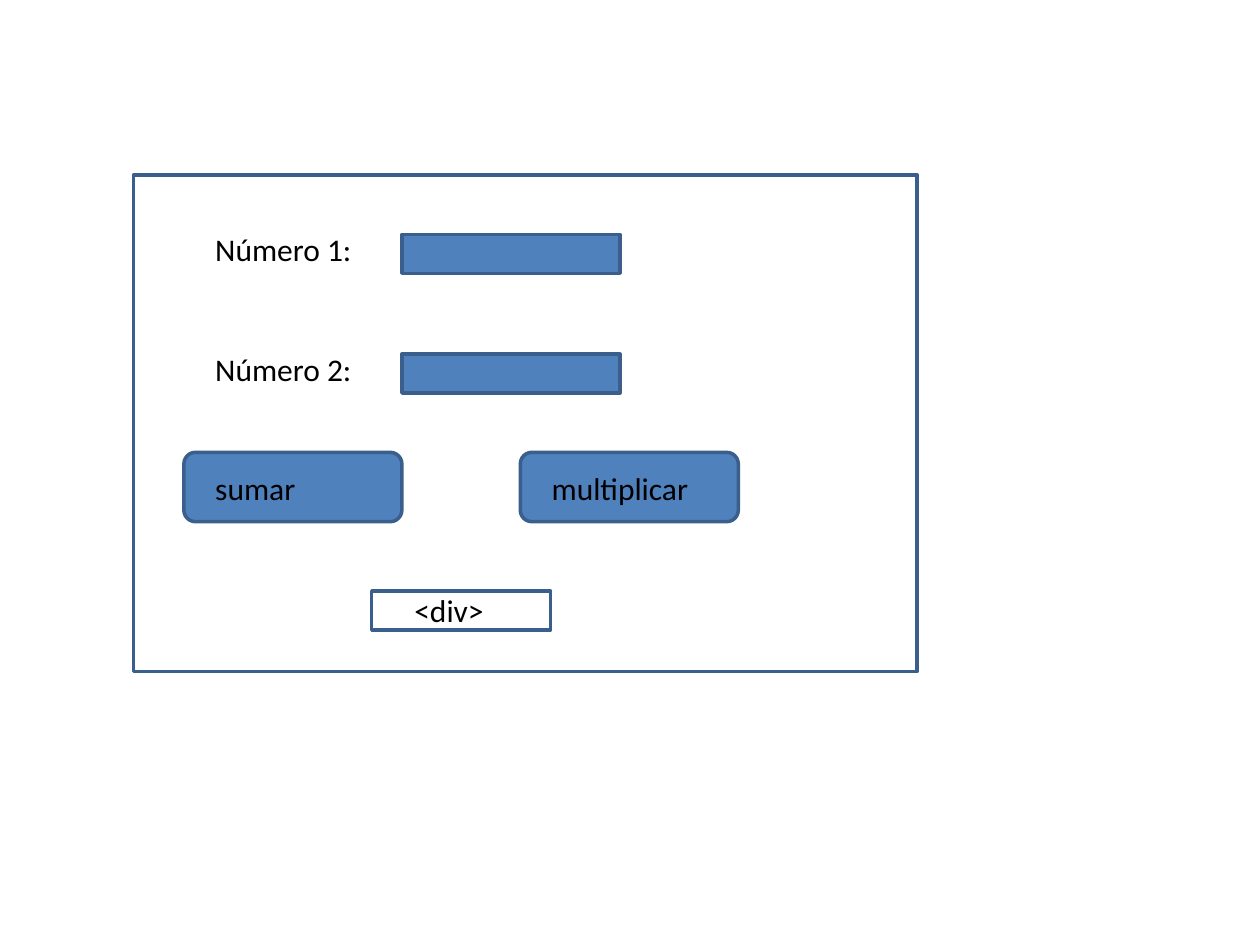
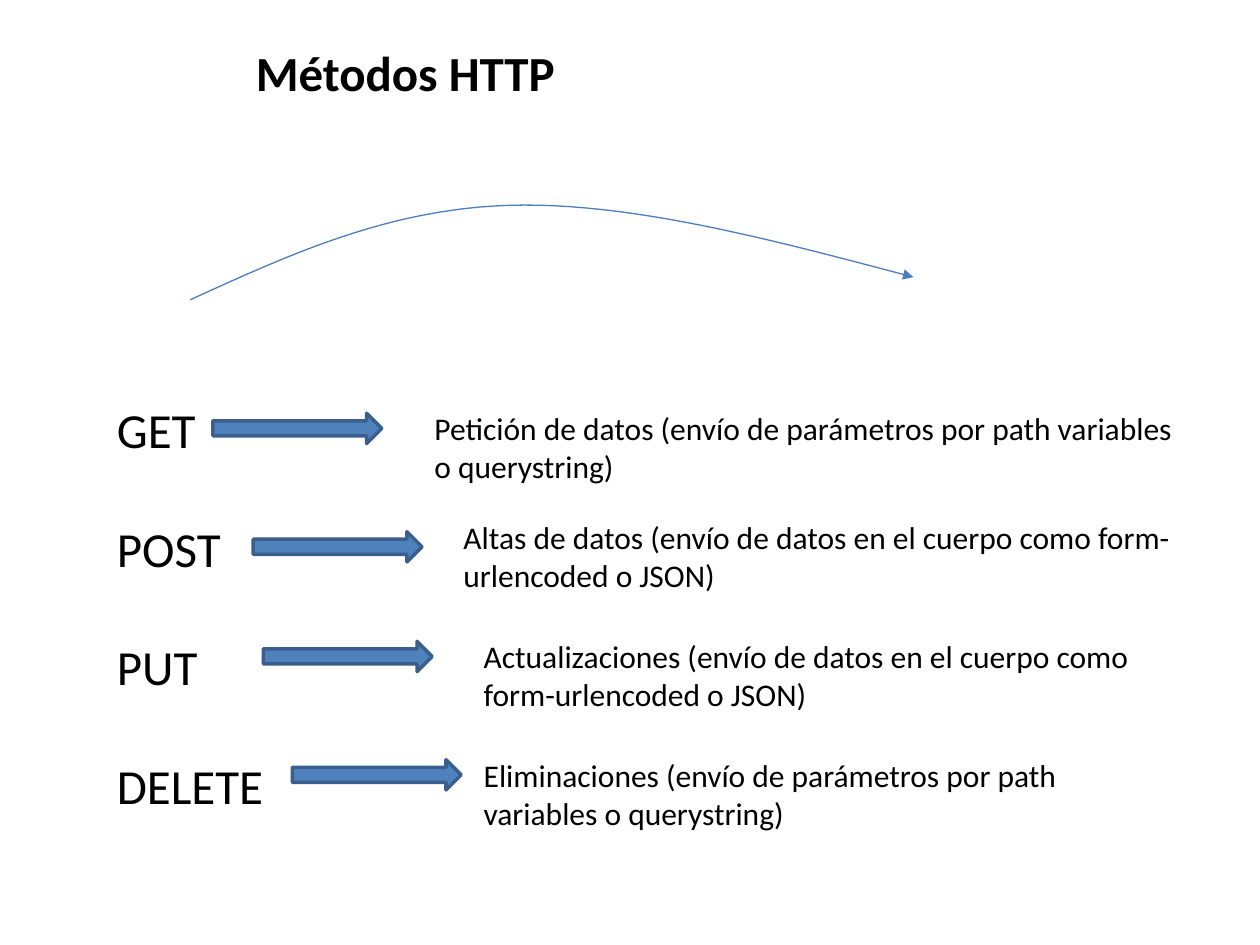
import pptx
import pptx.util
import pptx.dml.color
import pptx.enum.shapes
import pptx.enum.text
import lxml.etree

Inches = pptx.util.Inches
Pt = pptx.util.Pt
SHAPES = pptx.enum.shapes.MSO_SHAPE

# Shared style
FONT = "Calibri"
BLACK, BLUE, BORDER, CURVE_BLUE = "000000", "4F81BD", "3A5F8C", "4B7EBC"
BODY_SIZE, LARGE_SIZE = 18, 28
DRAWING_NAMESPACE = "http://schemas.openxmlformats.org/drawingml/2006/main"

# Method, arrow (left, top), description (left, top, width), all relative to the list box
METHODS = [
    ("GET", (0.86, 0.16), (2.52, 0.08, 6.14),
     "Petición de datos (envío de parámetros por path variables o querystring)"),
    ("POST", (1.18, 1.10), (2.75, 0.94, 6.06),
     "Altas de datos (envío de datos en el cuerpo como form-urlencoded o JSON)"),
    ("PUT", (1.26, 1.97), (2.91, 1.89, 5.91),
     "Actualizaciones (envío de datos en el cuerpo como form-urlencoded o JSON)"),
    ("DELETE", (1.49, 2.91), (2.91, 2.83, 5.51),
     "Eliminaciones (envío de parámetros por path variables o querystring)"),
]


def color(hex_value):
    return pptx.dml.color.RGBColor.from_string(hex_value)


def write_text(shape, text, size, bold=False, gap=0):
    """Fill a text shape, with a gap in points between paragraphs."""
    frame = shape.text_frame
    frame.word_wrap = True
    frame.auto_size = pptx.enum.text.MSO_AUTO_SIZE.NONE
    frame.vertical_anchor = pptx.enum.text.MSO_ANCHOR.TOP
    frame.text = text
    for index, paragraph in enumerate(frame.paragraphs):
        paragraph.alignment = pptx.enum.text.PP_ALIGN.LEFT
        paragraph.space_before = Pt(gap if index else 0)
        for run in paragraph.runs:
            run.font.name = FONT
            run.font.size = Pt(size)
            run.font.bold = bold
            run.font.color.rgb = color(BLACK)


def add_text(slide, left, top, width, height, text, size=BODY_SIZE, gap=0):
    box = slide.shapes.add_textbox(Inches(left), Inches(top), Inches(width), Inches(height))
    write_text(box, text, size, gap=gap)


def add_box(slide, kind, left, top, width, height, fill=None):
    shape = slide.shapes.add_shape(
        kind, Inches(left), Inches(top), Inches(width), Inches(height))
    shape.shadow.inherit = False
    if fill:
        shape.fill.solid()
        shape.fill.fore_color.rgb = color(fill)
    else:
        shape.fill.background()
    shape.line.color.rgb = color(BORDER)
    shape.line.width = Pt(2)


def add_form(slide, left, top, width, height):
    """Mock-up of a calculator form."""
    add_box(slide, SHAPES.RECTANGLE, left, top, width, height)

    # Number fields
    for row in range(2):
        row_top = top + 0.39 + 0.95 * row
        add_text(slide, left + 0.55, row_top, 2.05, 0.4, f"Número {row + 1}:")
        add_box(slide, SHAPES.RECTANGLE, left + 2.13, row_top + 0.08, 1.73, 0.31, BLUE)

    # Buttons
    for column, label in enumerate(["sumar", "multiplicar"]):
        button_left = left + 0.4 + 2.67 * column
        add_box(slide, SHAPES.ROUNDED_RECTANGLE, button_left, top + 2.2, 1.73, 0.55, BLUE)
        add_text(slide, button_left + 0.15, top + 2.28, 1.5, 0.4, label)

    # Result
    add_box(slide, SHAPES.RECTANGLE, left + 1.89, top + 3.3, 1.42, 0.31)
    add_text(slide, left + 2.13, top + 3.25, 0.94, 0.4, "<div>")


def add_title(slide, left, top, width, height, text):
    title = slide.shapes.title
    title.left, title.top = Inches(left), Inches(top)
    title.width, title.height = Inches(width), Inches(height)
    write_text(title, text, LARGE_SIZE, bold=True)


def bezier_point(controls, t):
    """Point at t on a cubic Bézier curve."""
    weights = ((1 - t) ** 3, 3 * t * (1 - t) ** 2, 3 * t * t * (1 - t), t ** 3)
    return tuple(sum(weight * point[axis] for weight, point in zip(weights, controls))
                 for axis in range(2))


def add_curved_arrow(slide, left, top):
    steps = 24
    segments = [
        [(0, 0.78), (0.79, 0.42), (1.57, 0.06), (2.53, 0.03)],
        [(2.53, 0.03), (3.48, 0), (4.61, 0.3), (5.74, 0.6)],
    ]
    points = [segments[0][0]] + [bezier_point(controls, step / steps)
                                 for controls in segments for step in range(1, steps + 1)]
    points = [(Inches(left + x), Inches(top + y)) for x, y in points]
    builder = slide.shapes.build_freeform(*points[0])
    builder.add_line_segments(points[1:], close=False)
    curve = builder.convert_to_shape()
    curve.shadow.inherit = False
    curve.fill.background()
    curve.line.color.rgb = color(CURVE_BLUE)
    curve.line.width = Pt(0.75)
    line = curve.line._get_or_add_ln()
    lxml.etree.SubElement(line, f"{{{DRAWING_NAMESPACE}}}tailEnd", type="triangle")


def add_method_list(slide, left, top, width, height):
    """Method names, each with an arrow to its description."""
    names = "\n".join(method[0] for method in METHODS)
    add_text(slide, left, top, width, height, names, LARGE_SIZE, gap=34.2)
    for _, (arrow_x, arrow_y), (text_x, text_y, text_width), description in METHODS:
        add_box(slide, SHAPES.RIGHT_ARROW, left + arrow_x, top + arrow_y, 1.34, 0.24, BLUE)
        add_text(slide, left + text_x, top + text_y, text_width, 0.71, description)


def main():
    presentation = pptx.Presentation()
    presentation.slide_width, presentation.slide_height = Inches(10), Inches(7.5)
    title_only, blank = presentation.slide_layouts[5], presentation.slide_layouts[6]

    form_slide = presentation.slides.add_slide(blank)
    add_form(form_slide, 1.06, 1.39, 6.22, 3.94)

    methods_slide = presentation.slides.add_slide(title_only)
    add_title(methods_slide, 1.93, 0.29, 2.91, 0.57, "Métodos HTTP")
    add_curved_arrow(methods_slide, 1.51, 1.6)
    add_method_list(methods_slide, 0.83, 3.12, 6.77, 3.4)

    presentation.save("out.pptx")


if __name__ == "__main__":
    main()
